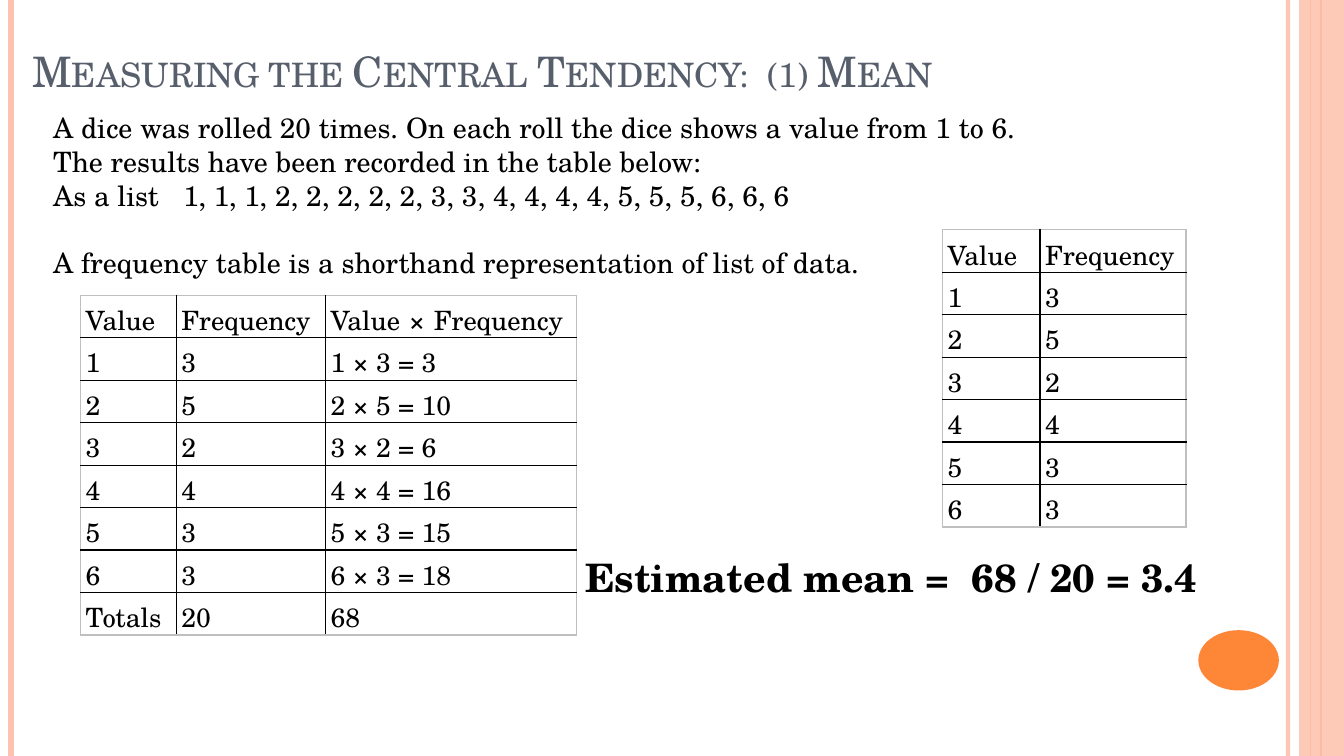
import pptx
import pptx.util
import pptx.dml.color
import pptx.enum.shapes
import pptx.enum.text
import pptx.oxml.ns
import lxml.etree

Cm, Pt = pptx.util.Cm, pptx.util.Pt
kinds = pptx.enum.shapes.MSO_SHAPE
anchors = pptx.enum.text.MSO_ANCHOR
FONT = "TeX Gyre Schola"
HUES = {"ink": "000000", "head": "575F6D", "pale": "FEC3AE",
        "accent": "FE8637", "edge": "BFBFBF"}

title = "Measuring the Central Tendency:  (1) Mean"
intro = [
    ("A dice was rolled 20 times. On each roll the dice shows a value from 1 to 6.\v"
     "The results have been recorded in the table below:", 0),
    ("As a list\t1, 1, 1, 2, 2, 2, 2, 2, 3, 3, 4, 4, 4, 4, 5, 5, 5, 6, 6, 6", 0),
    ("A frequency table is a shorthand representation of list of data.", 24),
]
result = "Estimated mean =  68 / 20 = 3.4"
counts = [(1, 3), (2, 5), (3, 2), (4, 4), (5, 3), (6, 3)]
short = [("Value", "Frequency")] + counts
full = ([("Value", "Frequency", "Value\u00a0×\u00a0Frequency")]
        + [(v, f, f"{v} × {f} = {v * f}") for v, f in counts]
        + [("Totals", sum(f for v, f in counts), sum(v * f for v, f in counts))])
grids = [
    (short, 23.75, 5.79, (2.46, 3.68)),
    (full, 2.03, 7.44, (2.41, 3.76, 6.32)),
]
bars = [
    (32.46, "pale", 3, 93),
    (0.28, "pale", 4.5, 100),
    (33.3, "accent", 1.5, 100),
    (33.02, "accent", 0.75, 100),
]
blocks = [
    (kinds.RECTANGLE, 32.74, 0, 1.13, 19.05, "pale", 87),
    (kinds.OVAL, 30.2, 15.88, 2.03, 1.52, "accent", 100),
]
ROW = 1.07


def hue(name):
    return pptx.dml.color.RGBColor.from_string(HUES[name])


def sub(parent, tag, **attrs):
    return lxml.etree.SubElement(parent, pptx.oxml.ns.qn(tag), attrs)


def fade(shape, alpha):
    if alpha < 100:
        color = next(shape._element.spPr.iter(pptx.oxml.ns.qn("a:srgbClr")))
        sub(color, "a:alpha", val=str(alpha * 1000))


def write(par, text, size, name="ink", bold=False):
    run = par.add_run()
    run.text = text
    font = run.font
    font.name, font.size, font.bold = FONT, Pt(size), bold
    font.color.rgb = hue(name)
    return run


def add_line(par, text, size, bold=False):
    for i, part in enumerate(text.split("\v")):
        if i:
            par.add_line_break()
        write(par, part, size, bold=bold)


def add_box(slide, left, top, width, height):
    frame = slide.shapes.add_textbox(Cm(left), Cm(top), Cm(width), Cm(height)).text_frame
    frame.word_wrap = True
    return frame


def add_bar(slide, x, name, width, alpha):
    bar = slide.shapes.add_connector(
        pptx.enum.shapes.MSO_CONNECTOR.STRAIGHT, Cm(x), 0, Cm(x), Cm(19.05))
    bar.line.color.rgb = hue(name)
    bar.line.width = Pt(width)
    fade(bar, alpha)
    sub(bar._element.spPr, "a:effectLst")


def add_block(slide, kind, left, top, width, height, name, alpha):
    block = slide.shapes.add_shape(kind, Cm(left), Cm(top), Cm(width), Cm(height))
    block.shadow.inherit = False
    block.fill.solid()
    block.fill.fore_color.rgb = hue(name)
    block.line.fill.background()
    fade(block, alpha)


def add_edges(cell, outer):
    props = cell._tc.get_or_add_tcPr()
    for side in "LRTB":
        line = sub(props, "a:ln" + side, w=str(Pt(1)))
        fill = sub(line, "a:solidFill")
        sub(fill, "a:srgbClr", val=HUES["edge" if outer[side] else "ink"])


def add_grid(slide, rows, left, top, widths):
    table = slide.shapes.add_table(
        len(rows), len(widths), Cm(left), Cm(top),
        Cm(sum(widths)), Cm(ROW * len(rows))).table
    table.first_row = table.horz_banding = False
    for col, width in zip(table.columns, widths):
        col.width = Cm(width)
    for r, row in enumerate(rows):
        table.rows[r].height = Cm(ROW)
        for c, value in enumerate(row):
            cell = table.cell(r, c)
            add_edges(cell, {"L": c == 0, "R": c == len(widths) - 1,
                             "T": r == 0, "B": r == len(rows) - 1})
            cell.fill.background()
            cell.vertical_anchor = anchors.MIDDLE
            cell.margin_left = cell.margin_right = Cm(0.13)
            cell.margin_top = cell.margin_bottom = Cm(0.13)
            write(cell.text_frame.paragraphs[0], str(value), 19)


def main():
    deck = pptx.Presentation()
    deck.slide_width, deck.slide_height = Cm(33.87), Cm(19.05)
    slide = deck.slides.add_slide(deck.slide_layouts[5])

    for bar in bars:
        add_bar(slide, *bar)
    for block in blocks:
        add_block(slide, *block)

    head = slide.shapes.title
    head.left, head.top, head.width, head.height = Cm(0.56), Cm(0.84), Cm(32.46), Cm(1.7)
    frame = head.text_frame
    frame.auto_size = pptx.enum.text.MSO_AUTO_SIZE.NONE
    frame.vertical_anchor = anchors.BOTTOM
    par = frame.paragraphs[0]
    par.alignment = pptx.enum.text.PP_ALIGN.LEFT
    write(par, title, 30, "head")._r.get_or_add_rPr().set("cap", "small")

    frame = add_box(slide, 1.09, 2.67, 27.81, 6.25)
    for i, (text, gap) in enumerate(intro):
        par = frame.add_paragraph() if i else frame.paragraphs[0]
        if "\t" in text:
            tabs = sub(par._p.get_or_add_pPr(), "a:tabLst")
            sub(tabs, "a:tab", pos=str(Cm(3.28)), algn="l")
        if gap:
            par.space_before = Pt(gap)
        add_line(par, text, 20)

    for grid in grids:
        add_grid(slide, *grid)
    frame = add_box(slide, 14.5, 13.82, 16.08, 1.45)
    add_line(frame.paragraphs[0], result, 28, bold=True)
    deck.save("out.pptx")


if __name__ == "__main__":
    main()
